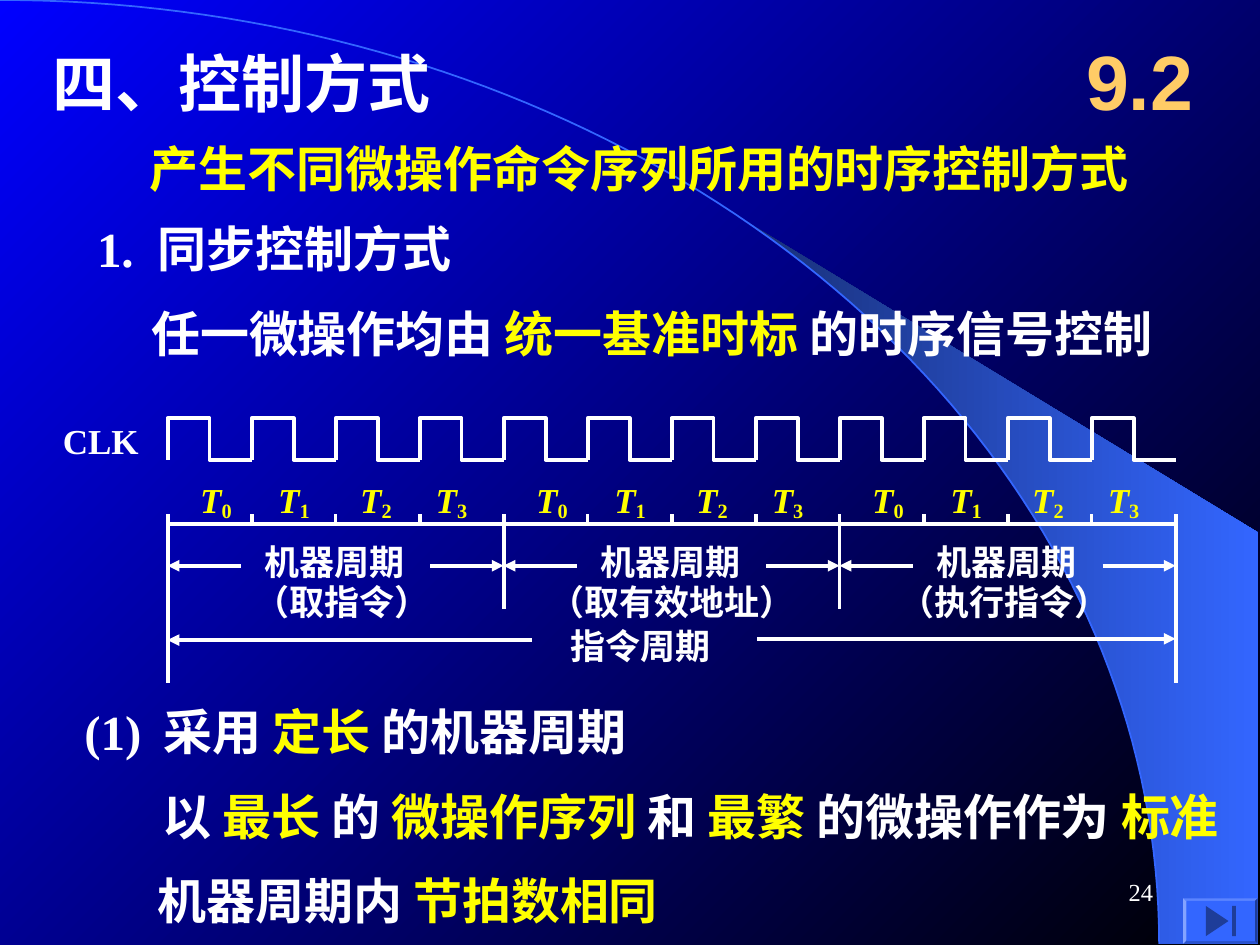
from dataclasses import dataclass
from math import asin, cos, pi, sin

from lxml.etree import SubElement
from pptx import Presentation
from pptx.dml.color import RGBColor
from pptx.enum.shapes import MSO_CONNECTOR as Conn, MSO_SHAPE as Shape
from pptx.enum.text import MSO_ANCHOR as Anchor, MSO_AUTO_SIZE as AutoSize, PP_ALIGN as Align
from pptx.oxml.ns import qn
from pptx.util import Inches, Pt

COLORS = {"white": "FFFFFF", "yellow": "FFFF00", "orange": "FFCC66", "blue": "3366FF",
          "navy": "182F76", "bg_start": "0000FF", "bg_end": "000000"}
LEFT, BEAT, BEATS_PER_CYCLE, BEATS = 1.33, 2 / 3, 4, 12
CYCLE = BEAT * BEATS_PER_CYCLE
CLK_TOP, CLK_BOTTOM = 3.32, 3.65
TICK_TOP, AXIS_Y, CYCLE_Y = 4.08, 4.16, 4.49
BEAT_LABEL_OFFSETS = (0.16, 0.78, 1.43, 2.03)
ARC_W, ARC_H = 9.2, 7.49


@dataclass
class MachineCycle:
    caption: str
    left: float
    width: float


@dataclass
class Line:
    text: str
    indent: float = 0
    before: float = 0
    hanging: float = 0


CYCLES = [
    MachineCycle("（取指令）", 1.92, 1.59),
    MachineCycle("（取有效地址）", 4.26, 2.15),
    MachineCycle("（执行指令）", 7.04, 1.87),
]
INTRO = [
    Line("|产生不同微操作命令序列所用的时序控制方式", 0.42),
    Line("1.\t同步控制方式", 0.48, 12, 0.48),
    Line("任一微操作均由 |统一基准时标 |的时序信号控制", 0.43, 15),
]
RULES = [
    Line("(1)\t采用 |定长 |的机器周期", 0.63, 0, 0.63),
    Line("以 |最长 |的 |微操作序列 |和 |最繁 |的微操作作为 |标准", 0.62, 14.5),
    Line("机器周期内 |节拍数相同", 0.58, 14.5),
]


def rgb(name: str) -> RGBColor:
    return RGBColor.from_string(COLORS[name])


def place(sp, left: float, top: float, width: float, height: float) -> None:
    sp.left, sp.top, sp.width, sp.height = map(Inches, (left, top, width, height))


def add_run(p, text: str, *, size: float = 20, color: str = "white", bold: bool = True,
            italic: bool = False, font: str = "Times New Roman", baseline: int = 0):
    r = p.add_run()
    r.text = text
    f = r.font
    f.size, f.bold, f.italic, f.name = Pt(size), bold, italic, font
    f.color.rgb = rgb(color)
    if baseline:
        r._r.get_or_add_rPr().set("baseline", str(baseline * 1000))
    return r


def add_text(s, text: str, left: float, top: float, width: float, height: float = 0.44, *,
             align=Align.LEFT, anchor=Anchor.TOP, wrap: bool = False, **fmt):
    sp = s.shapes.add_textbox(*map(Inches, (left, top, width, height)))
    tf = sp.text_frame
    tf.word_wrap, tf.vertical_anchor = wrap, anchor
    p = tf.paragraphs[0]
    p.alignment = align
    add_run(p, text, **fmt)
    return p


def fill_list(sp, lines: list[Line]) -> None:
    tf = sp.text_frame
    tf.auto_size, tf.vertical_anchor = AutoSize.NONE, Anchor.TOP
    for i, line in enumerate(lines):
        p = tf.add_paragraph() if i else tf.paragraphs[0]
        pPr = p._p.get_or_add_pPr()
        pPr.set("marL", str(Inches(line.indent)))
        pPr.set("indent", str(-Inches(line.hanging)))
        SubElement(pPr, qn("a:buNone"))
        p.space_before = Pt(line.before)
        for k, part in enumerate(line.text.split("|")):
            if part:
                add_run(p, part, size=28, color="yellow" if k % 2 else "white")


def add_line(s, x1: float, y1: float, x2: float, y2: float, *, arrow: bool = False) -> None:
    c = s.shapes.add_connector(Conn.STRAIGHT, *map(Inches, (x1, y1, x2, y2)))
    c.line.color.rgb, c.line.width = rgb("white"), Pt(2.25)
    if arrow:
        SubElement(c.line._get_or_add_ln(), qn("a:tailEnd"), type="triangle")
    SubElement(c._element.spPr, qn("a:effectLst"))


def add_outline(s, points: list[tuple[float, float]], *, close: bool = False,
                color: str = "white", width: float = 2.25):
    start, *rest = [(Inches(x), Inches(y)) for x, y in points]
    fb = s.shapes.build_freeform(*start)
    fb.add_line_segments(rest, close=close)
    sp = fb.convert_to_shape()
    sp.shadow.inherit = False
    sp.fill.background()
    sp.line.color.rgb, sp.line.width = rgb(color), Pt(width)
    return sp


def add_button_part(s, kind, left: float, top: float, width: float, height: float):
    sp = s.shapes.add_shape(kind, *map(Inches, (left, top, width, height)))
    sp.shadow.inherit = False
    sp.fill.solid()
    sp.fill.fore_color.rgb = rgb("blue")
    sp.line.fill.background()
    return sp


def set_gradient(fill, start: str, end: str, angle: float) -> None:
    fill.gradient()
    fill.gradient_angle = angle
    for stop, name, position in zip(fill.gradient_stops, (start, end), (0, 1)):
        stop.color.rgb, stop.position = rgb(name), position


def arc_points(start: float, steps: int = 80) -> list[tuple[float, float]]:
    angles = [start + (pi / 2 - start) * i / steps for i in range(steps + 1)]
    return [(ARC_W * sin(a), ARC_H * (1 - cos(a))) for a in angles]


def draw_background(s) -> None:
    set_gradient(s.background.fill, "bg_start", "bg_end", 315)
    beam = add_outline(s, arc_points(asin(5.89 / ARC_W)) + [(9.99, 7.49), (9.99, 4.23)], close=True)
    set_gradient(beam.fill, "navy", "blue", 0)
    beam.line.fill.background()
    add_outline(s, arc_points(0), color="blue", width=1)


def draw_timing(s) -> None:
    right = LEFT + BEATS * BEAT
    add_text(s, "CLK", 0.4, 3.28, 0.8)
    for i in range(BEATS):
        x = LEFT + i * BEAT
        mid = x + BEAT / 2
        add_outline(s, [(x, CLK_BOTTOM), (x, CLK_TOP), (mid, CLK_TOP),
                        (mid, CLK_BOTTOM), (x + BEAT, CLK_BOTTOM)])
    add_line(s, LEFT, AXIS_Y, right, AXIS_Y)
    for i in range(BEATS + 1):
        x = LEFT + i * BEAT
        bottom = 5.42 if i in (0, BEATS) else AXIS_Y if i % BEATS_PER_CYCLE else 4.83
        add_line(s, x, TICK_TOP, x, bottom)
    for n, cycle in enumerate(CYCLES):
        x = LEFT + n * CYCLE
        add_line(s, x + 0.58, CYCLE_Y, x, CYCLE_Y, arrow=True)
        add_line(s, x + CYCLE - 0.58, CYCLE_Y, x + CYCLE, CYCLE_Y, arrow=True)
        add_text(s, "机器周期", x + 0.67, 4.24, 1.31)
        add_text(s, cycle.caption, cycle.left, 4.56, cycle.width)
        for k, offset in enumerate(BEAT_LABEL_OFFSETS):
            p = add_text(s, "T", x + offset, 3.75, 0.45, 0.45, color="yellow", italic=True)
            add_run(p, str(k), color="yellow", baseline=-15)
    add_line(s, 4.22, 5.08, LEFT, 5.08, arrow=True)
    add_line(s, 6.01, 5.07, right, 5.07, arrow=True)
    add_text(s, "指令周期", 4.43, 4.91, 1.31)


def main() -> None:
    prs = Presentation()
    prs.slide_width, prs.slide_height = Inches(10), Inches(7.5)
    s = prs.slides.add_slide(prs.slide_layouts[3])
    draw_background(s)

    title, intro, rules = s.placeholders
    place(title, 0.32, 0.3, 3.7, 0.7)
    tf = title.text_frame
    tf.auto_size, tf.word_wrap, tf.vertical_anchor = AutoSize.NONE, True, Anchor.TOP
    tf.paragraphs[0].alignment = Align.LEFT
    add_run(tf.paragraphs[0], "四、控制方式", size=36)
    place(intro, 0.67, 1.05, 8.7, 1.88)
    fill_list(intro, INTRO)
    place(rules, 0.57, 5.52, 9.3, 1.91)
    fill_list(rules, RULES)
    for sp in (title, intro, rules):
        s.shapes._spTree.append(sp._element)

    draw_timing(s)
    add_text(s, "9.2", 8.42, 0.17, 1.25, 0.92, align=Align.CENTER, anchor=Anchor.MIDDLE,
             wrap=True, size=44, color="orange", font="Arial")
    bevel = add_button_part(s, Shape.BEVEL, 9.39, 7.13, 0.59, 0.36)
    bevel.adjustments[0] = 0.07
    add_button_part(s, Shape.ACTION_BUTTON_END, 9.42, 7.15, 0.54, 0.32)
    add_text(s, "24", 7.17, 6.83, 2.08, 0.5, align=Align.RIGHT, anchor=Anchor.MIDDLE,
             wrap=True, size=14, bold=False)
    prs.save("out.pptx")


if __name__ == "__main__":
    main()
